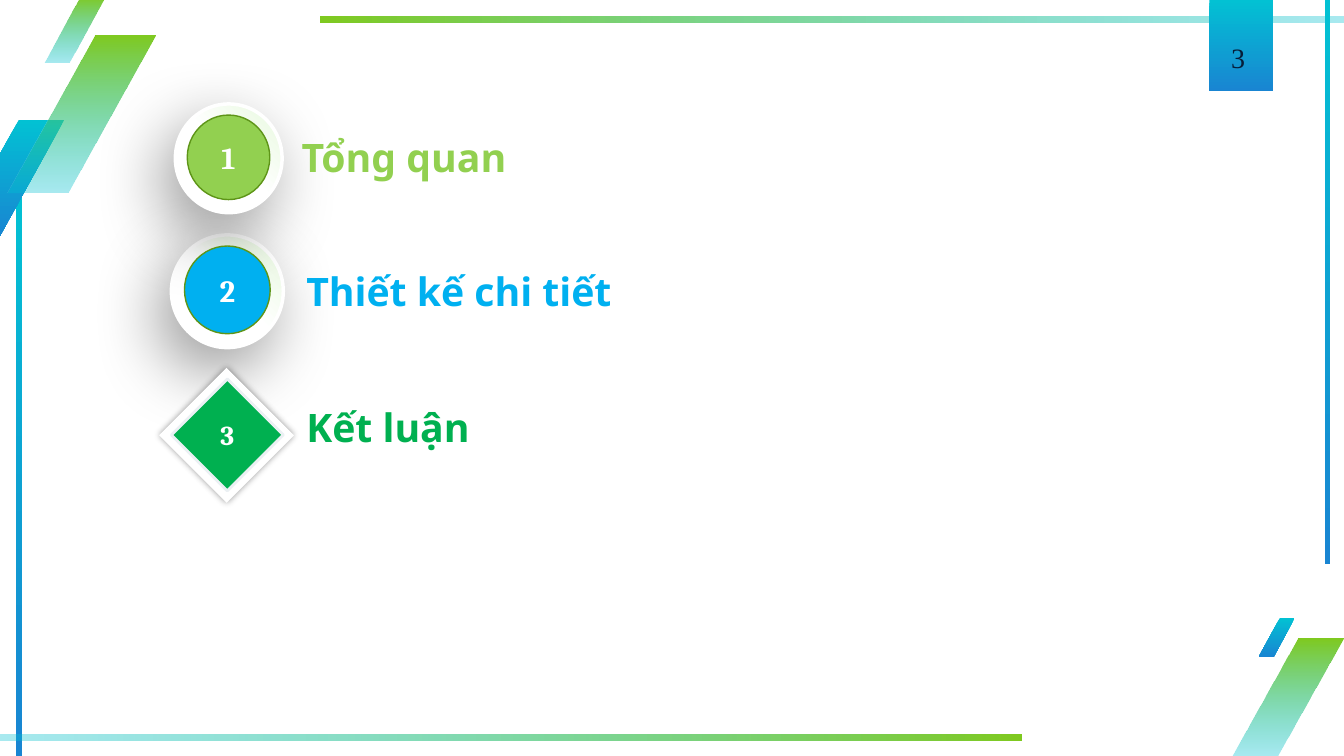
import lxml.etree
import pptx
import pptx.dml.color
import pptx.enum.shapes
import pptx.enum.text
import pptx.oxml.ns
import pptx.util

Cm = pptx.util.Cm
Pt = pptx.util.Pt
RGBColor = pptx.dml.color.RGBColor
Shapes = pptx.enum.shapes.MSO_SHAPE
Align = pptx.enum.text.PP_ALIGN

WHITE = RGBColor(0xFF, 0xFF, 0xFF)
BLACK = RGBColor(0x00, 0x00, 0x00)
TEAL = RGBColor(0x02, 0xC1, 0xD3)
BLUE = RGBColor(0x19, 0x85, 0xD2)
LEAF = RGBColor(0x7F, 0xCA, 0x20)
MINT = RGBColor(0xE7, 0xF9, 0xDE)
LIME = RGBColor(0x92, 0xD0, 0x50)
SKY = RGBColor(0x00, 0xB0, 0xF0)
GREEN = RGBColor(0x00, 0xB0, 0x50)
OLIVE = RGBColor(0x5E, 0x95, 0x18)
PALE = RGBColor(0xEB, 0xF0, 0xF3)
NAVY = RGBColor(0x06, 0x1E, 0x3A)

BLUE_FADE = [(0, TEAL, 100), (100, BLUE, 100)]
GREEN_FADE = [(0, LEAF, 100), (100, TEAL, 34)]
RING_FADE = [(0, WHITE, 100), (50, WHITE, 100), (100, MINT, 100)]
SLANT = 0.59

DECORATIONS = [
    ((0.41, 4.83, 0.15, 14.22), BLUE_FADE, 0, 0),
    ((-1.17, 3.02, 2.79, 2.97), BLUE_FADE, SLANT, 0),
    ((31.06, 16.08, 2.79, 2.97), GREEN_FADE, SLANT, 0),
    ((0.2, 0.89, 3.71, 3.96), GREEN_FADE, SLANT, 0),
    ((1.12, -0.08, 1.55, 1.65), GREEN_FADE, SLANT, 0),
    ((31.72, 15.57, 0.91, 0.99), BLUE_FADE, SLANT, 0),
    ((12.78, 5.69, 0.15, 25.78), GREEN_FADE, 0, 90),
    ((20.9, -12.4, 0.15, 25.78), GREEN_FADE, 0, 270),
    ((33.38, 0, 0.15, 14.22), BLUE_FADE, 0, 0),
    ((30.48, 0, 1.6, 2.29), BLUE_FADE, 0, 0),
]
RINGS = [(4.32, 5.92, 2.82, 2.84), (4.42, 2.62, 2.69, 2.74)]
DISCS = [("1", (4.72, 2.9, 2.08, 2.13), LIME), ("2", (4.65, 6.2, 2.16, 2.21), SKY)]
LABELS = [
    ("Tổng quan", (7.35, 3.23, 5.84, 1.45), LIME),
    ("Thiết kế chi tiết", (7.47, 6.6, 8.33, 1.45), SKY),
    ("Kết luận", (7.47, 10.03, 4.67, 1.45), GREEN),
]


def add_child(parent, tag, **attributes):
    """Append a drawing element with the given attributes."""
    child = lxml.etree.SubElement(parent, pptx.oxml.ns.qn(tag))
    for name, value in attributes.items():
        child.set(name, str(value))
    return child


def add_color(parent, color, opacity):
    """Append a colour with an opacity in percent."""
    add_child(add_child(parent, "a:srgbClr", val=color), "a:alpha", val=opacity * 1000)


def fill_gradient(shape, stops, angle):
    """Fill a shape with a linear gradient."""
    shape.fill.background()
    properties = shape.element.spPr
    empty_fill = properties.find(pptx.oxml.ns.qn("a:noFill"))
    gradient = add_child(properties, "a:gradFill", rotWithShape=1)
    stop_list = add_child(gradient, "a:gsLst")
    for position, color, opacity in stops:
        add_color(add_child(stop_list, "a:gs", pos=position * 1000), color, opacity)
    add_child(gradient, "a:lin", ang=angle * 60000, scaled=0)
    properties.replace(empty_fill, gradient)


def add_shadow(shape, blur, distance, direction):
    """Give a shape a soft black outer shadow."""
    effects = shape.element.spPr.find(pptx.oxml.ns.qn("a:effectLst"))
    shadow = add_child(effects, "a:outerShdw", blurRad=Pt(blur), dist=Pt(distance),
                       dir=direction * 60000, algn="ctr", rotWithShape=0)
    add_color(shadow, BLACK, 40)


def add_figure(slide, kind, box, fill=None, line=None, width=1):
    """Add a flat shape with an optional solid fill and outline."""
    shape = slide.shapes.add_shape(kind, *map(Cm, box))
    shape.shadow.inherit = False
    if fill is not None:
        shape.fill.solid()
        shape.fill.fore_color.rgb = fill
    if line is None:
        shape.line.fill.background()
    else:
        shape.line.color.rgb = line
        shape.line.width = Pt(width)
    return shape


def write(shape, text, font_name, size, color, bold=True, alignment=Align.CENTER):
    """Write one styled paragraph into a shape."""
    paragraph = shape.text_frame.paragraphs[0]
    paragraph.text = text
    paragraph.alignment = alignment
    paragraph.font.name = font_name
    paragraph.font.size = Pt(size)
    paragraph.font.bold = bold
    paragraph.font.color.rgb = color


def add_decoration(slide, box, stops, slant, rotation):
    """Add a gradient bar or slanted band."""
    shape = add_figure(slide, Shapes.PARALLELOGRAM, box)
    shape.adjustments[0] = slant
    shape.rotation = rotation
    fill_gradient(shape, stops, 90)


def add_ring(slide, box):
    """Add a white shadowed circle behind a number."""
    ring = add_figure(slide, Shapes.OVAL, box, line=WHITE, width=2.5)
    fill_gradient(ring, RING_FADE, 315)
    add_shadow(ring, 50, 18, 120)


def add_label(slide, text, box, color):
    """Add a section title."""
    label = slide.shapes.add_textbox(*map(Cm, box))
    label.text_frame.word_wrap = False
    write(label, text, "Noto Sans", 28, color, alignment=Align.LEFT)


def add_page_number(slide, text):
    """Add the page number on the top ribbon."""
    box = slide.shapes.add_textbox(Cm(30.4), Cm(0.71), Cm(1.6), Cm(1.45))
    frame = box.text_frame
    frame.word_wrap = True
    frame.vertical_anchor = pptx.enum.text.MSO_ANCHOR.MIDDLE
    frame.margin_left = frame.margin_right = frame.margin_top = frame.margin_bottom = 0
    write(box, text, "Times New Roman", 20, NAVY, bold=False)


def add_diamond(slide, text):
    """Add the numbered diamond with its white frame."""
    frame = add_figure(slide, Shapes.DIAMOND, (4.01, 9.27, 3.4, 3.4), WHITE)
    add_shadow(frame, 5, 0, 0)
    diamond = add_figure(slide, Shapes.DIAMOND, (4.32, 9.55, 2.82, 2.82), GREEN, PALE, 2)
    write(diamond, text, "Cambria", 19.5, WHITE)


def main():
    """Build the agenda slide."""
    presentation = pptx.Presentation()
    presentation.slide_width = Cm(33.87)
    presentation.slide_height = Cm(19.05)
    slide = presentation.slides.add_slide(presentation.slide_layouts[6])
    for decoration in DECORATIONS:
        add_decoration(slide, *decoration)
    for box in RINGS:
        add_ring(slide, box)
    for number, box, color in DISCS:
        disc = add_figure(slide, Shapes.OVAL, box, color, OLIVE)
        write(disc, number, "Cambria", 22, WHITE)
    for label in LABELS:
        add_label(slide, *label)
    add_page_number(slide, "3")
    add_diamond(slide, "3")
    presentation.save("out.pptx")


if __name__ == "__main__":
    main()
